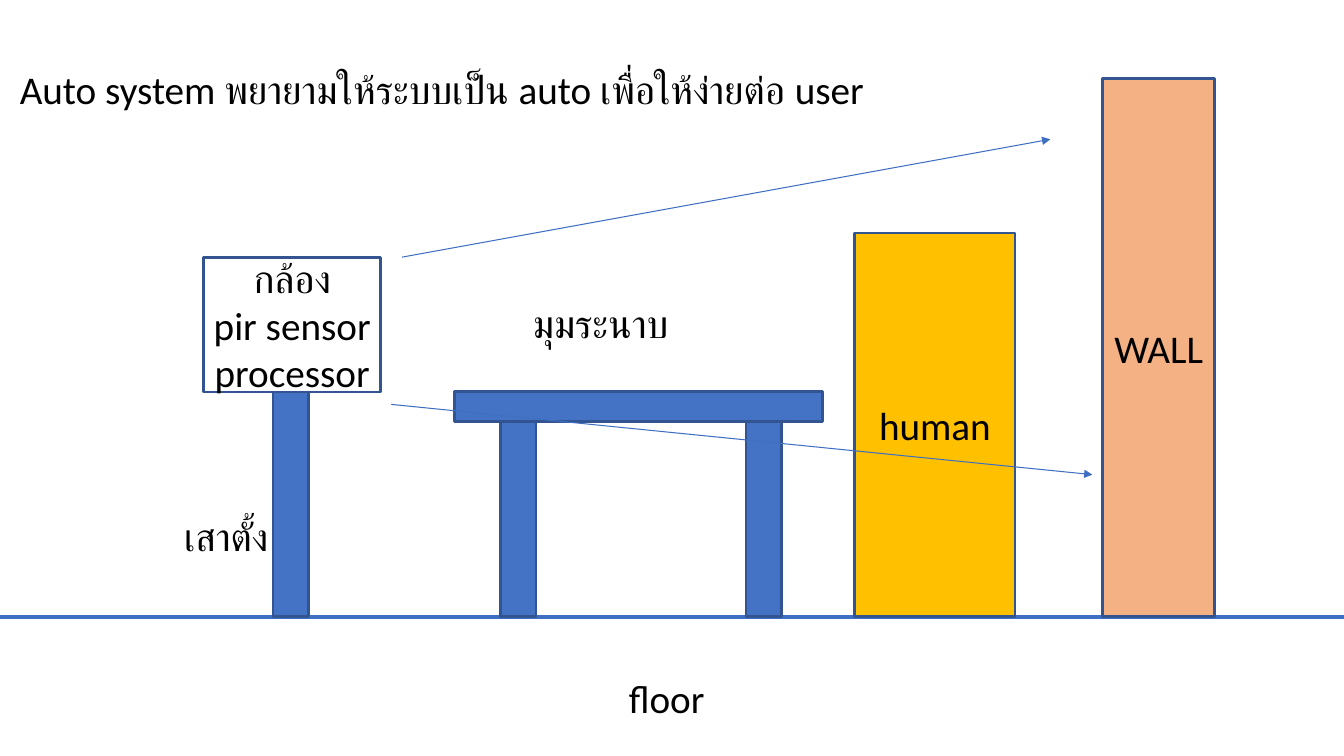
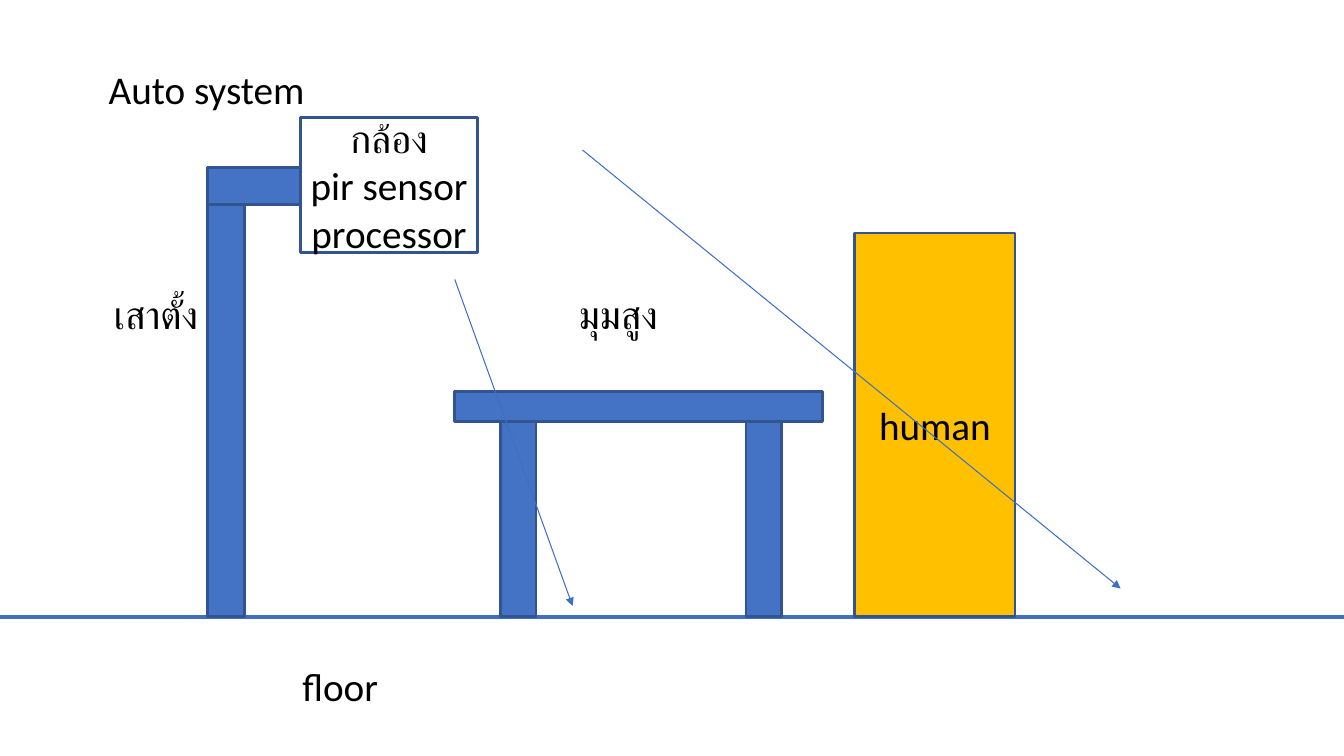
from dataclasses import dataclass

from lxml import etree
from pptx import Presentation
from pptx import util as u
from pptx.dml import color
from pptx.enum import shapes, text
from pptx.oxml import ns


# Theme: colours, type and line widths
@dataclass(frozen=True)
class Theme:
    ink: str = "000000"
    blue: str = "4472C4"
    edge: str = "325491"
    line: str = "3F6FC3"
    gold: str = "FFC000"
    peach: str = "F4B183"
    font: str = "Calibri"
    size: int = 28
    rim: float = 2
    thick: float = 3
    thin: float = 0.75


T = Theme()
WIDE, HIGH = 33.87, 19.05
FLOOR = 15.54
ROW = 1.45
CAM = "กล้อง\npir sensor\nprocessor"


def rgb(code):
    return color.RGBColor.from_string(code)


def style(item, form):
    for name, value in form.items():
        setattr(item, name, value)


def write(frame, words, align):
    frame.text = words
    for para in frame.paragraphs:
        para.alignment = align
        style(para.font, {"name": T.font, "size": u.Pt(T.size)})
        para.font.color.rgb = rgb(T.ink)


# Elements
def label(slide, words, x, y, w):
    frame = slide.shapes.add_textbox(u.Cm(x), u.Cm(y), u.Cm(w), u.Cm(ROW)).text_frame
    style(frame, {"word_wrap": False,
                  "auto_size": text.MSO_AUTO_SIZE.SHAPE_TO_FIT_TEXT})
    write(frame, words, text.PP_ALIGN.LEFT)


def block(slide, x, y, w, h, fill=None, words=""):
    box = slide.shapes.add_shape(shapes.MSO_SHAPE.RECTANGLE,
                                 u.Cm(x), u.Cm(y), u.Cm(w), u.Cm(h))
    box.shadow.inherit = False
    if fill:
        box.fill.solid()
        box.fill.fore_color.rgb = rgb(fill)
    else:
        box.fill.background()
    box.line.color.rgb = rgb(T.edge)
    box.line.width = u.Pt(T.rim)
    if words:
        style(box.text_frame, {"word_wrap": True,
                               "vertical_anchor": text.MSO_ANCHOR.MIDDLE})
        write(box.text_frame, words, text.PP_ALIGN.CENTER)


def stand(slide, x, top, w, fill=T.blue, words=""):
    """A block that rests on the floor."""
    block(slide, x, top, w, FLOOR - top, fill, words)


def line(slide, start, end, width, arrow=False):
    ends = [u.Cm(n) for n in (*start, *end)]
    rule = slide.shapes.add_connector(shapes.MSO_CONNECTOR.STRAIGHT, *ends)
    rule.line.color.rgb = rgb(T.line)
    rule.line.width = u.Pt(width)
    if arrow:
        etree.SubElement(rule.line._ln, ns.qn("a:tailEnd"), type="triangle")
    etree.SubElement(rule._element.spPr, ns.qn("a:effectLst"))


def camera(slide, x, y):
    block(slide, x, y, 4.47, 3.4, words=CAM)


def table(slide):
    block(slide, 11.46, 9.86, 9.27, 0.76, T.blue)
    for x in (12.62, 18.8):
        stand(slide, x, 10.62, 0.89)


def scene(deck, rays):
    """A slide with the floor, table, human and view lines."""
    slide = deck.slides.add_slide(deck.slide_layouts[6])
    line(slide, (0, FLOOR), (WIDE, FLOOR), T.thick)
    table(slide)
    stand(slide, 21.54, 5.87, 4.04, T.gold, "human")
    for start, end in rays:
        line(slide, start, end, T.thin, arrow=True)
    return slide


# Slides
def level(deck):
    slide = scene(deck, [((10.13, 6.48), (26.47, 3.51)),
                         ((9.86, 10.19), (27.53, 11.96))])
    camera(slide, 5.13, 6.48)
    stand(slide, 6.88, 9.88, 0.89)
    stand(slide, 27.79, 1.98, 2.82, T.peach, "WALL")
    for item in (
        ("Auto system พยายามให้ระบบเป็น auto เพื่อให้ง่ายต่อ user", 0.25, 1.52, 23.67),
        ("เสาตั้ง", 4.39, 12.78, 3),
        ("มุมระนาบ", 13.18, 7.42, 4.24),
        ("floor", 15.6, 16.87, 2.41),
    ):
        label(slide, *item)


def above(deck):
    slide = scene(deck, [((14.68, 3.78), (28.24, 14.83)),
                         ((11.46, 7.04), (14.43, 15.27))])
    camera(slide, 7.57, 2.97)
    stand(slide, 5.23, 5.16, 0.94)
    block(slide, 5.23, 4.22, 2.34, 0.94, T.blue)
    for item in (
        ("Auto system", 2.49, 1.52, 5.44),
        ("เสาตั้ง", 2.62, 7.19, 3),
        ("มุมสูง", 14.33, 7.19, 2.77),
        ("floor", 7.37, 16.56, 2.41),
    ):
        label(slide, *item)


def main():
    deck = Presentation()
    style(deck, {"slide_width": u.Cm(WIDE), "slide_height": u.Cm(HIGH)})
    level(deck)
    above(deck)
    deck.save("out.pptx")


main()
